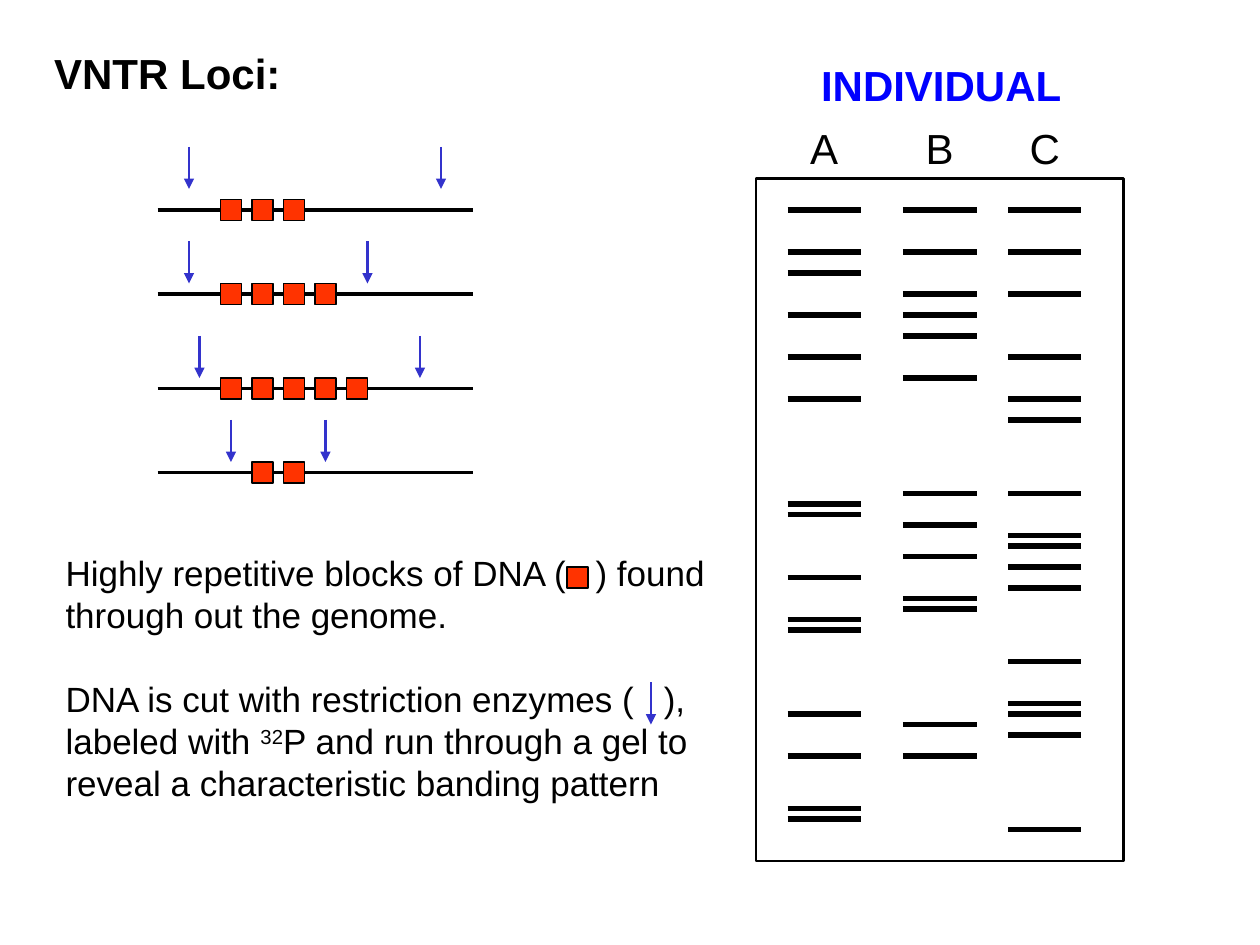
from lxml.etree import SubElement
from pptx import Presentation
from pptx.dml.color import RGBColor
from pptx.enum.shapes import MSO_CONNECTOR, MSO_SHAPE
from pptx.enum.text import MSO_ANCHOR, MSO_AUTO_SIZE, PP_ALIGN
from pptx.oxml.ns import qn
from pptx.util import Inches, Pt

BLACK, RED, ARROW_BLUE, HEADING_BLUE = "000000", "FF3300", "3333CC", "0000FF"
GRID = 12  # drawing grid: twelfths of an inch

TITLE = "VNTR Loci:"
PLAIN = {}
SUPERSCRIPT = {"baseline": "30000"}
# One space, widened by 11.1 points to hold an inline symbol
SYMBOL_GAP = (" ", {"spc": "1110"})
BODY = [
    [("Highly repetitive blocks of DNA (", PLAIN),
     SYMBOL_GAP,
     (") found through out the genome.", PLAIN)],
    [("DNA is cut with restriction enzymes (", PLAIN),
     SYMBOL_GAP,
     ("), labeled with ", PLAIN),
     ("32", SUPERSCRIPT),
     ("P and run through a gel to reveal a characteristic banding pattern", PLAIN)],
]
# Heights, repeat positions and cut positions in grid units
LOCI = [
    {"line": 20, "first_repeat": 21, "repeats": 3, "arrow_top": 14, "cuts": (18, 42)},
    {"line": 28, "first_repeat": 21, "repeats": 4, "arrow_top": 23, "cuts": (18, 35)},
    {"line": 37, "first_repeat": 21, "repeats": 5, "arrow_top": 32, "cuts": (19, 40)},
    {"line": 45, "first_repeat": 24, "repeats": 2, "arrow_top": 40, "cuts": (22, 31)},
]
# Lane name, left edge and band heights in grid units
LANES = [
    ("A", 75, (20, 24, 26, 30, 34, 38, 48, 49, 55, 59, 60, 68, 72, 77, 78)),
    ("B", 86, (20, 24, 28, 30, 32, 36, 47, 50, 53, 57, 58, 69, 72)),
    ("C", 96, (20, 24, 28, 34, 38, 40, 47, 51, 52, 54, 56, 63, 67, 68, 70, 79)),
]
BAND_WIDTH = 7
LABEL_WIDTH = 0.44


def color(value):
    return RGBColor.from_string(value)


def grid(units):
    return Inches(units / GRID)


def style_font(paragraph, size, value=BLACK, bold=False):
    font = paragraph.font
    font.name, font.size, font.bold = "Arial", Pt(size), bold
    font.color.rgb = color(value)


def place(shape, left, top, width, height):
    shape.left, shape.top = Inches(left), Inches(top)
    shape.width, shape.height = Inches(width), Inches(height)


def add_line(shapes, start, end, width, value=BLACK, arrow=False):
    """Draw a line between two points given in grid units."""
    line = shapes.add_connector(MSO_CONNECTOR.STRAIGHT, *map(grid, start + end))
    line.line.color.rgb = color(value)
    line.line.width = Pt(width)
    if arrow:
        SubElement(line.line._get_or_add_ln(), qn("a:tailEnd"), type="triangle")
    SubElement(line._element.spPr, qn("a:effectLst"))


def add_cut(shapes, x, top):
    add_line(shapes, (x, top), (x, top + 4), 1.5, ARROW_BLUE, arrow=True)


def add_box(shapes, left, top, width, height, line_width, fill=None):
    box = shapes.add_shape(MSO_SHAPE.RECTANGLE, *map(grid, (left, top, width, height)))
    box.shadow.inherit = False
    if fill:
        box.fill.solid()
        box.fill.fore_color.rgb = color(fill)
    else:
        box.fill.background()
    box.line.color.rgb = color(BLACK)
    box.line.width = Pt(line_width)


def add_repeat(shapes, left, top):
    add_box(shapes, left, top, 2, 2, 0.75, RED)


def add_label(shapes, text, center, top, width, value=BLACK, bold=False):
    label = shapes.add_textbox(Inches(center - width / 2), Inches(top),
                               Inches(width), Inches(0.5))
    label.text_frame.word_wrap = False
    paragraph = label.text_frame.paragraphs[0]
    paragraph.text = text
    paragraph.alignment = PP_ALIGN.CENTER
    style_font(paragraph, 24, value, bold)


def fill_title(title):
    place(title, 0.33, 0.33, 2.5, 0.5)
    frame = title.text_frame
    frame.text = TITLE
    frame.auto_size = MSO_AUTO_SIZE.NONE
    frame.vertical_anchor = MSO_ANCHOR.TOP
    frame.paragraphs[0].alignment = PP_ALIGN.LEFT
    style_font(frame.paragraphs[0], 24, bold=True)


def fill_body(body):
    place(body, 0.42, 4.33, 5.6, 2.1)
    frame = body.text_frame
    frame.word_wrap = True
    frame.auto_size = MSO_AUTO_SIZE.NONE
    for index, runs in enumerate(BODY):
        paragraph = frame.add_paragraph() if index else frame.paragraphs[0]
        properties = paragraph._p.get_or_add_pPr()
        properties.set("marL", "0")
        properties.set("indent", "0")
        SubElement(properties, qn("a:buNone"))
        paragraph.space_before = Pt(24 if index else 0)
        style_font(paragraph, 20)
        for text, attributes in runs:
            run = paragraph.add_run()
            run.text = text
            for name, value in attributes.items():
                run._r.get_or_add_rPr().set(name, value)


def draw_loci(shapes):
    for locus in LOCI:
        y = locus["line"]
        add_line(shapes, (15, y), (45, y), 2.25)
        for index in range(locus["repeats"]):
            add_repeat(shapes, locus["first_repeat"] + 3 * index, y - 1)
        for x in locus["cuts"]:
            add_cut(shapes, x, locus["arrow_top"])


def draw_gel(shapes):
    add_box(shapes, 72, 17, 35, 65, 1.5)
    for _, left, bands in LANES:
        for y in bands:
            add_line(shapes, (left, y), (left + BAND_WIDTH, y), 3)


def main():
    presentation = Presentation()
    presentation.slide_width, presentation.slide_height = Inches(10), Inches(7.5)
    slide = presentation.slides.add_slide(presentation.slide_layouts[1])
    shapes = slide.shapes

    fill_title(shapes.title)
    fill_body(slide.placeholders[1])
    draw_loci(shapes.add_group_shape().shapes)
    draw_gel(shapes.add_group_shape().shapes)

    add_label(shapes, "INDIVIDUAL", 7.47, 0.42, 2.11, HEADING_BLUE, bold=True)
    for name, left, _ in LANES:
        add_label(shapes, name, (left + BAND_WIDTH / 2) / GRID, 0.92, LABEL_WIDTH)

    # Symbols set into the gaps of the body text
    add_repeat(shapes, 54, 54)
    add_cut(shapes, 62, 65)

    presentation.save("out.pptx")


if __name__ == "__main__":
    main()
